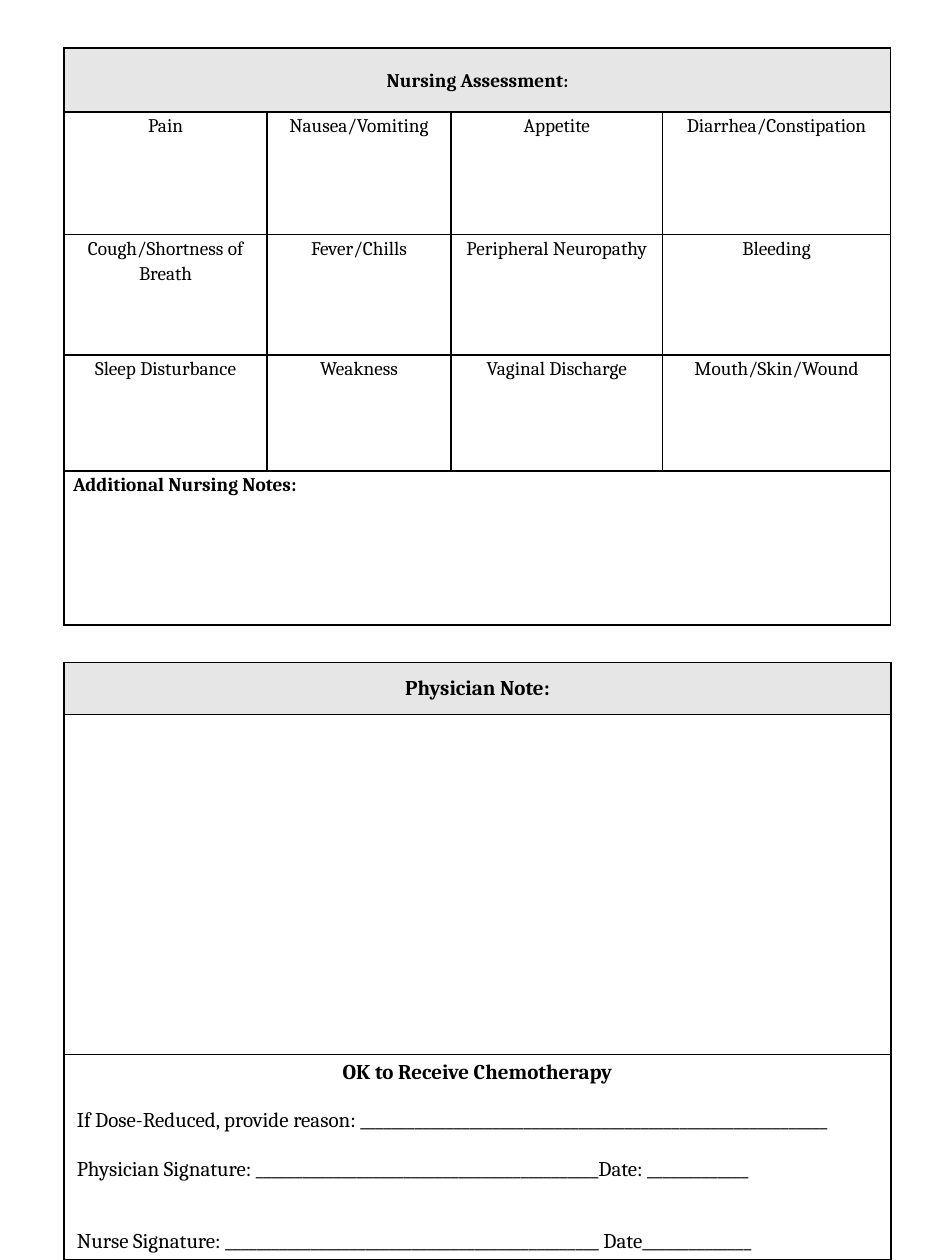
from dataclasses import dataclass

from lxml import etree
from pptx import Presentation
from pptx.dml.color import RGBColor
from pptx.enum.text import MSO_ANCHOR, PP_ALIGN
from pptx.oxml.ns import qn
from pptx.util import Inches, Pt

LEFT, CENTER = PP_ALIGN.LEFT, PP_ALIGN.CENTER
TOP, MIDDLE = MSO_ANCHOR.TOP, MSO_ANCHOR.MIDDLE


@dataclass
class Theme:
    """Colours, font and sizes of the form."""
    font: str = "Cambria"
    ink: str = "000000"
    paper: str = "FFFFFF"
    heading: str = "E7E6E6"
    small: int = 10
    body: int = 11
    large: int = 12
    border: int = 1


class Form:
    """Draws tables and their text on one slide."""

    def __init__(self, slide, theme):
        self.slide = slide
        self.theme = theme

    def table(self, left, top, columns, rows):
        """Add a table with plain white, bordered cells."""
        frame = self.slide.shapes.add_table(
            len(rows), len(columns), Inches(left), Inches(top),
            Inches(sum(columns)), Inches(sum(rows)))
        table = frame.table
        table.first_row = table.horz_banding = False
        for column, width in zip(table.columns, columns):
            column.width = Inches(width)
        for row, height in zip(table.rows, rows):
            row.height = Inches(height)
        for cell in table.iter_cells():
            self.fill(cell, self.theme.paper)
            self.borders(cell)
        return table

    def fill(self, cell, color):
        """Give a cell a solid fill."""
        cell.fill.solid()
        cell.fill.fore_color.rgb = RGBColor.from_string(color)

    def borders(self, cell):
        """Draw a thin line on all four sides of a cell."""
        properties = cell._tc.get_or_add_tcPr()
        for position, side in enumerate(("a:lnL", "a:lnR", "a:lnT", "a:lnB")):
            line = etree.Element(qn(side), w=str(Pt(self.theme.border)))
            solid = etree.SubElement(line, qn("a:solidFill"))
            etree.SubElement(solid, qn("a:srgbClr"), val=self.theme.ink)
            properties.insert(position, line)

    def insets(self, cell, side, end):
        """Set the side and the top and bottom margins of a cell."""
        cell.margin_left = cell.margin_right = Inches(side)
        cell.margin_top = cell.margin_bottom = Inches(end)

    def label(self, paragraph, text, size, bold=False, align=LEFT,
              spacing=None, before=0):
        """Set the text and style of one paragraph."""
        paragraph.text = text
        paragraph.alignment = align
        paragraph.line_spacing = spacing
        paragraph.space_before = Pt(before)
        font = paragraph.font
        font.name, font.size, font.bold = self.theme.font, Pt(size), bold
        font.color.rgb = RGBColor.from_string(self.theme.ink)


def nursing_table(form):
    """Build the symptom grid with its heading and notes row."""
    theme = form.theme
    symptoms = (
        ("Pain", "Nausea/Vomiting", "Appetite", "Diarrhea/Constipation"),
        ("Cough/Shortness of Breath", "Fever/Chills",
         "Peripheral Neuropathy", "Bleeding"),
        ("Sleep Disturbance", "Weakness", "Vaginal Discharge",
         "Mouth/Skin/Wound"),
    )
    table = form.table(0.51, 0.38, (1.61, 1.46, 1.68, 1.81),
                       (0.51, 0.97, 0.96, 0.92, 1.22))
    for cell in table.iter_cells():
        form.insets(cell, 0.07, 0)
    heading, notes = table.cell(0, 0), table.cell(4, 0)
    heading.merge(table.cell(0, 3))
    notes.merge(table.cell(4, 3))

    form.fill(heading, theme.heading)
    heading.vertical_anchor = MIDDLE
    paragraph = heading.text_frame.paragraphs[0]
    form.label(paragraph, "Nursing Assessment", theme.body, True, CENTER, 1.15)
    colon = paragraph.add_run()
    colon.text = ":"
    colon.font.size = Pt(theme.small)

    for row, names in enumerate(symptoms, start=1):
        for column, name in enumerate(names):
            cell = table.cell(row, column)
            form.label(cell.text_frame.paragraphs[0], name, theme.body,
                       align=CENTER, spacing=1.15)
    form.label(notes.text_frame.paragraphs[0], "Additional Nursing Notes:",
               theme.body, True, spacing=1.15)


def physician_table(form):
    """Build the physician note with the sign-off lines."""
    theme = form.theme
    table = form.table(0.51, 5.26, (6.56,), (0.41, 2.7, 1.63))
    heading, sign_off = table.cell(0, 0), table.cell(2, 0)
    form.fill(heading, theme.heading)
    heading.vertical_anchor = MIDDLE
    sign_off.vertical_anchor = TOP
    form.label(heading.text_frame.paragraphs[0], "Physician Note:",
               theme.large, True, CENTER)

    frame = sign_off.text_frame
    form.label(frame.paragraphs[0], "OK to Receive Chemotherapy",
               theme.large, True, CENTER)
    gap = 13.75
    lines = (
        ("If Dose-Reduced, provide reason: " + "_" * 60, gap),
        ("Physician Signature: " + "_" * 44 + "Date: " + "_" * 13, gap),
        ("Nurse Signature: " + "_" * 48 + " Date" + "_" * 14, 2 * gap),
    )
    for text, before in lines:
        form.label(frame.add_paragraph(), text, theme.large, before=before)


def main():
    """Create and save the form."""
    presentation = Presentation()
    presentation.slide_width = Inches(7.5)
    presentation.slide_height = Inches(10)
    slide = presentation.slides.add_slide(presentation.slide_layouts[6])
    form = Form(slide, Theme())
    physician_table(form)
    nursing_table(form)
    presentation.save("out.pptx")


main()
